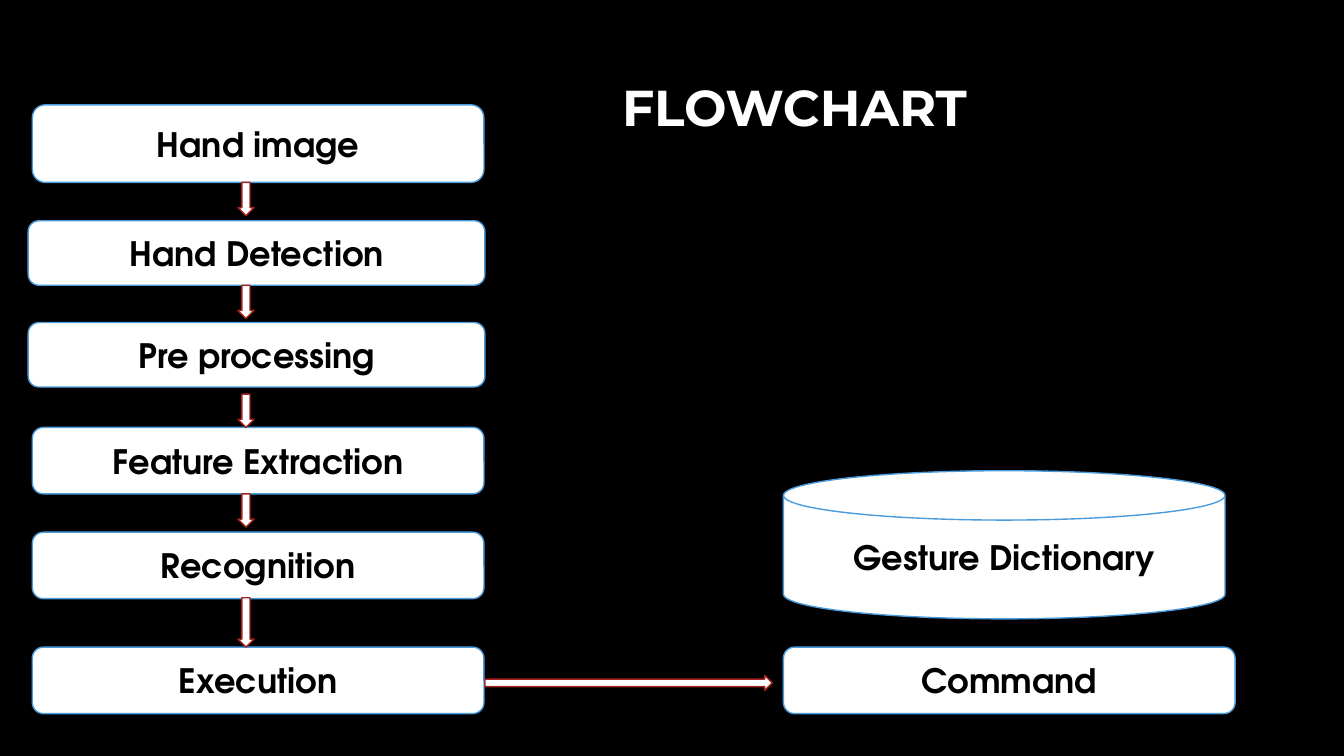
from pptx import Presentation
from pptx.dml.color import RGBColor
from pptx.enum.shapes import MSO_SHAPE
from pptx.enum.text import MSO_ANCHOR, PP_ALIGN
from pptx.util import Inches, Pt

ROUND = MSO_SHAPE.ROUNDED_RECTANGLE
DISK = MSO_SHAPE.FLOWCHART_MAGNETIC_DISK
DOWN = MSO_SHAPE.DOWN_ARROW
RIGHT = MSO_SHAPE.RIGHT_ARROW
MIDDLE = MSO_ANCHOR.MIDDLE
CENTER = PP_ALIGN.CENTER
FLUSH = PP_ALIGN.RIGHT

WIDE, TALL = 13.33, 7.5
COLS, ROWS = 133.3, 75

STEPS = [
    ("Hand image", 3.2, 10.4, 44.8, 7.7),
    ("Hand Detection", 2.8, 21.9, 45.3, 6.4),
    ("Pre processing", 2.8, 32, 45.3, 6.4),
    ("Feature Extraction", 3.2, 42.4, 44.8, 6.6),
    ("Recognition", 3.2, 52.8, 44.8, 6.6),
    ("Execution", 3.2, 64.2, 44.8, 6.6),
]
DROPS = [(18.1, 3.3), (28.3, 3.3), (39.1, 3.3), (49, 3.3), (59.3, 4.9)]


def tint(code):
    """Turn a hex string into a colour."""
    return RGBColor.from_string(code)


class Chart:
    """Hold the flowchart's style and its current slide."""

    white, black = "FFFFFF", "000000"
    edge, rust = "4A9BDC", "A5221E"
    head, body = "Montserrat", "TeX Gyre Adventor"

    def __init__(self, deck):
        """Add a black title-only slide to the deck."""
        self.slide = deck.slides.add_slide(deck.slide_layouts[5])
        back = self.slide.background.fill
        back.solid()
        back.fore_color.rgb = tint(self.black)

    def place(self, col, row, wide, tall):
        """Turn grid columns and rows into slide lengths."""
        across, down = WIDE / COLS, TALL / ROWS
        return (Inches(col * across), Inches(row * down),
                Inches(wide * across), Inches(tall * down))

    def label(self, shape, text, face, size, color, align):
        """Set one bold line, centred vertically in the shape."""
        frame = shape.text_frame
        frame.word_wrap = True
        frame.vertical_anchor = MIDDLE
        line = frame.paragraphs[0]
        line.alignment = align
        run = line.add_run()
        run.text = text
        font = run.font
        font.name, font.size, font.bold = face, Pt(size), True
        font.color.rgb = tint(color)
        return line

    def title(self, text, *cells):
        """Place and fill the title."""
        shape = self.slide.shapes.title
        shape.left, shape.top, shape.width, shape.height = self.place(*cells)
        line = self.label(shape, text, self.head, 36, self.white, FLUSH)
        line.line_spacing = 0.9

    def shape(self, kind, color, *cells):
        """Add a white shape with a thin coloured outline."""
        shape = self.slide.shapes.add_shape(kind, *self.place(*cells))
        shape.shadow.inherit = False
        shape.fill.solid()
        shape.fill.fore_color.rgb = tint(self.white)
        shape.line.color.rgb = tint(color)
        shape.line.width = Pt(1)
        return shape

    def node(self, text, *cells, kind=ROUND):
        """Add a labelled step or store."""
        shape = self.shape(kind, self.edge, *cells)
        self.label(shape, text, self.body, 24, self.black, CENTER)

    def arrow(self, kind, *cells):
        """Add a block arrow."""
        self.shape(kind, self.rust, *cells)


def main():
    """Build and save the flowchart slide."""
    deck = Presentation()
    deck.slide_width, deck.slide_height = Inches(WIDE), Inches(TALL)
    chart = Chart(deck)
    chart.title("FLOWCHART", 56.5, 5.8, 40.4, 10.3)
    for step in STEPS:
        chart.node(*step)
    for top, tall in DROPS:
        chart.arrow(DOWN, 23.6, top, 1.6, tall)
    chart.node("Command", 77.7, 64.2, 44.8, 6.6)
    chart.node("Gesture Dictionary", 77.7, 46.7, 43.8, 14.7, kind=DISK)
    chart.arrow(RIGHT, 48.1, 67, 28.5, 1.5)
    deck.save("out.pptx")


if __name__ == "__main__":
    main()
